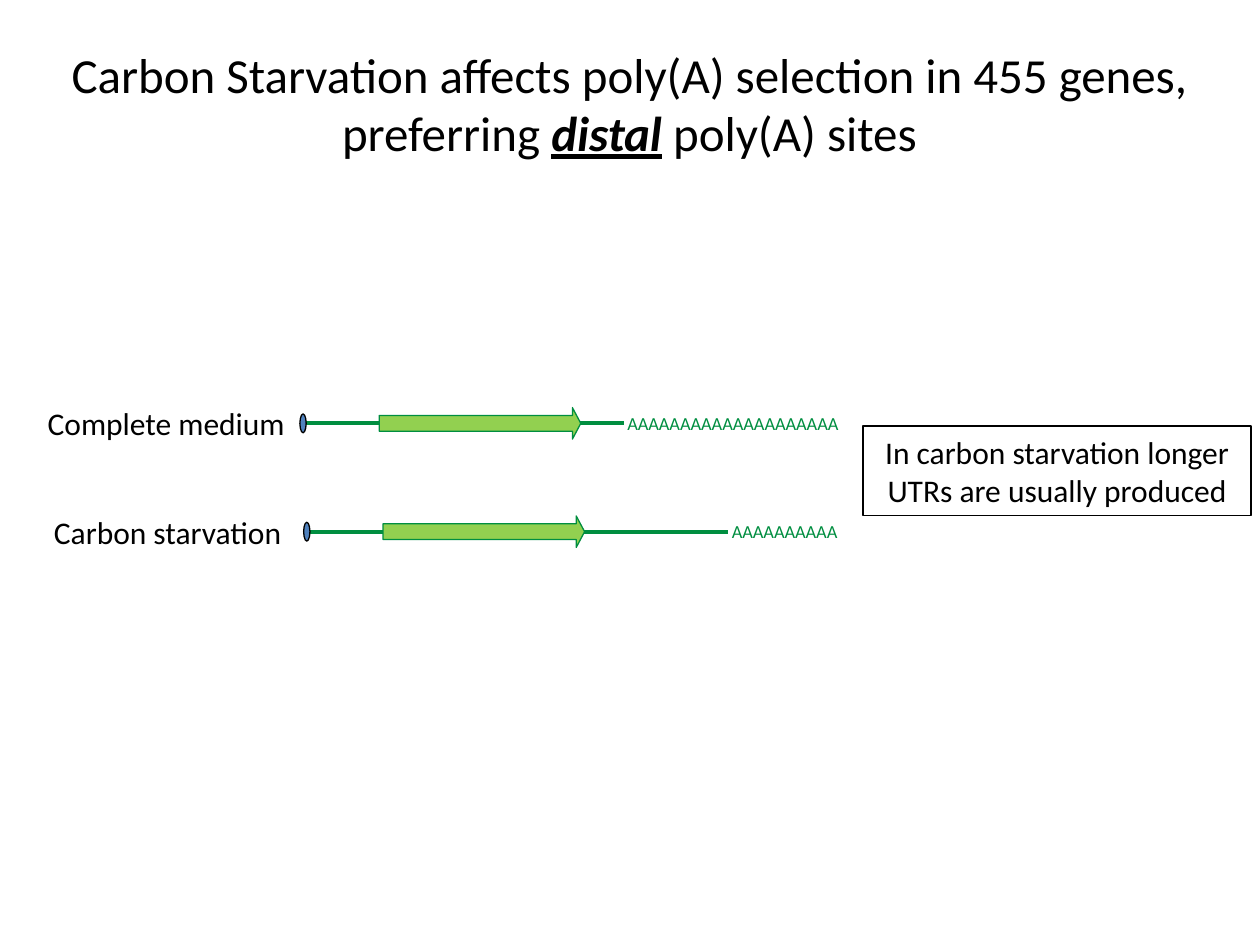
import pptx
import pptx.dml.color
import pptx.enum.shapes
import pptx.enum.text
import pptx.oxml.ns
import pptx.util
from lxml import etree

Inches = pptx.util.Inches
Pt = pptx.util.Pt
SHAPE = pptx.enum.shapes.MSO_SHAPE
ALIGN = pptx.enum.text.PP_ALIGN
FONT = "Calibri"
COLORS = {"text": "000000", "utr": "008E40", "gene": "92D050", "cap": "4F81BD"}

TITLE = [
    ("Carbon Starvation affects poly(A) selection in 455 genes, preferring ", False),
    ("distal", True),
    (" poly(A) sites", False),
]
TRANSCRIPTS = [
    {"label": "Complete medium", "label_left": 0.28, "label_width": 2.11, "axis": 3.36,
     "start": 2.38, "end": 4.95, "tail": "A" * 20, "tail_left": 4.88, "tail_width": 2.12},
    {"label": "Carbon starvation", "label_left": 0.33, "label_width": 2.03, "axis": 4.22,
     "start": 2.41, "end": 5.78, "tail": "A" * 10, "tail_left": 5.71, "tail_width": 1.14},
]
CONCLUSION = "In carbon starvation longer UTRs are usually produced"
GENE_OFFSET = 0.63


def rgb(name):
    return pptx.dml.color.RGBColor.from_string(COLORS[name])


def style_font(paragraph, size, color="text"):
    paragraph.font.name = FONT
    paragraph.font.size = Pt(size)
    paragraph.font.color.rgb = rgb(color)


def add_shape(slide, kind, left, top, width, height, fill, line):
    shape = slide.shapes.add_shape(
        kind, Inches(left), Inches(top), Inches(width), Inches(height))
    shape.shadow.inherit = False
    if fill:
        shape.fill.solid()
        shape.fill.fore_color.rgb = rgb(fill)
    else:
        shape.fill.background()
    shape.line.color.rgb = rgb(line)
    shape.line.width = Pt(0.75)
    return shape


def add_text(slide, text, left, axis, width, height, size, color, wrap):
    box = slide.shapes.add_textbox(
        Inches(left), Inches(axis - height / 2), Inches(width), Inches(height))
    box.text_frame.word_wrap = wrap
    paragraph = box.text_frame.paragraphs[0]
    paragraph.text = text
    style_font(paragraph, size, color)


def add_title(slide):
    title = slide.shapes.title
    title.left, title.top = Inches(0.32), Inches(0.3)
    title.width, title.height = Inches(9.35), Inches(1.04)
    frame = title.text_frame
    frame.word_wrap = True
    frame.auto_size = pptx.enum.text.MSO_AUTO_SIZE.NONE
    frame.vertical_anchor = pptx.enum.text.MSO_ANCHOR.TOP
    paragraph = frame.paragraphs[0]
    paragraph.alignment = ALIGN.CENTER
    style_font(paragraph, 28)
    for text, emphasis in TITLE:
        run = paragraph.add_run()
        run.text = text
        if emphasis:
            run.font.bold = run.font.italic = run.font.underline = True


def add_transcript(slide, transcript):
    axis, start = transcript["axis"], transcript["start"]
    utr = slide.shapes.add_connector(
        pptx.enum.shapes.MSO_CONNECTOR.STRAIGHT,
        Inches(start), Inches(axis), Inches(transcript["end"]), Inches(axis))
    utr.line.color.rgb = rgb("utr")
    utr.line.width = Pt(2.25)
    etree.SubElement(utr._element.spPr, pptx.oxml.ns.qn("a:effectLst"))

    gene = add_shape(slide, SHAPE.RIGHT_ARROW, start + GENE_OFFSET, axis - 0.125,
                     1.6, 0.25, "gene", "utr")
    gene.adjustments[0] = 0.5
    gene.adjustments[1] = 0.265
    add_shape(slide, SHAPE.OVAL, start, axis - 0.075, 0.05, 0.15, "cap", "text")
    add_text(slide, transcript["tail"], transcript["tail_left"], axis,
             transcript["tail_width"], 0.28, 10.5, "utr", True)
    add_text(slide, transcript["label"], transcript["label_left"], axis,
             transcript["label_width"], 0.4, 18, "text", False)


def add_conclusion(slide):
    box = add_shape(slide, SHAPE.RECTANGLE, 6.85, 3.38, 3.08, 0.71, None, "text")
    box.text_frame.word_wrap = True
    paragraph = box.text_frame.paragraphs[0]
    paragraph.text = CONCLUSION
    paragraph.alignment = ALIGN.CENTER
    style_font(paragraph, 18)


def main():
    deck = pptx.Presentation()
    deck.slide_width, deck.slide_height = Inches(10), Inches(7.5)
    slide = deck.slides.add_slide(deck.slide_layouts.get_by_name("Title Only"))
    add_title(slide)
    for transcript in TRANSCRIPTS:
        add_transcript(slide, transcript)
    add_conclusion(slide)
    deck.save("out.pptx")


if __name__ == "__main__":
    main()
